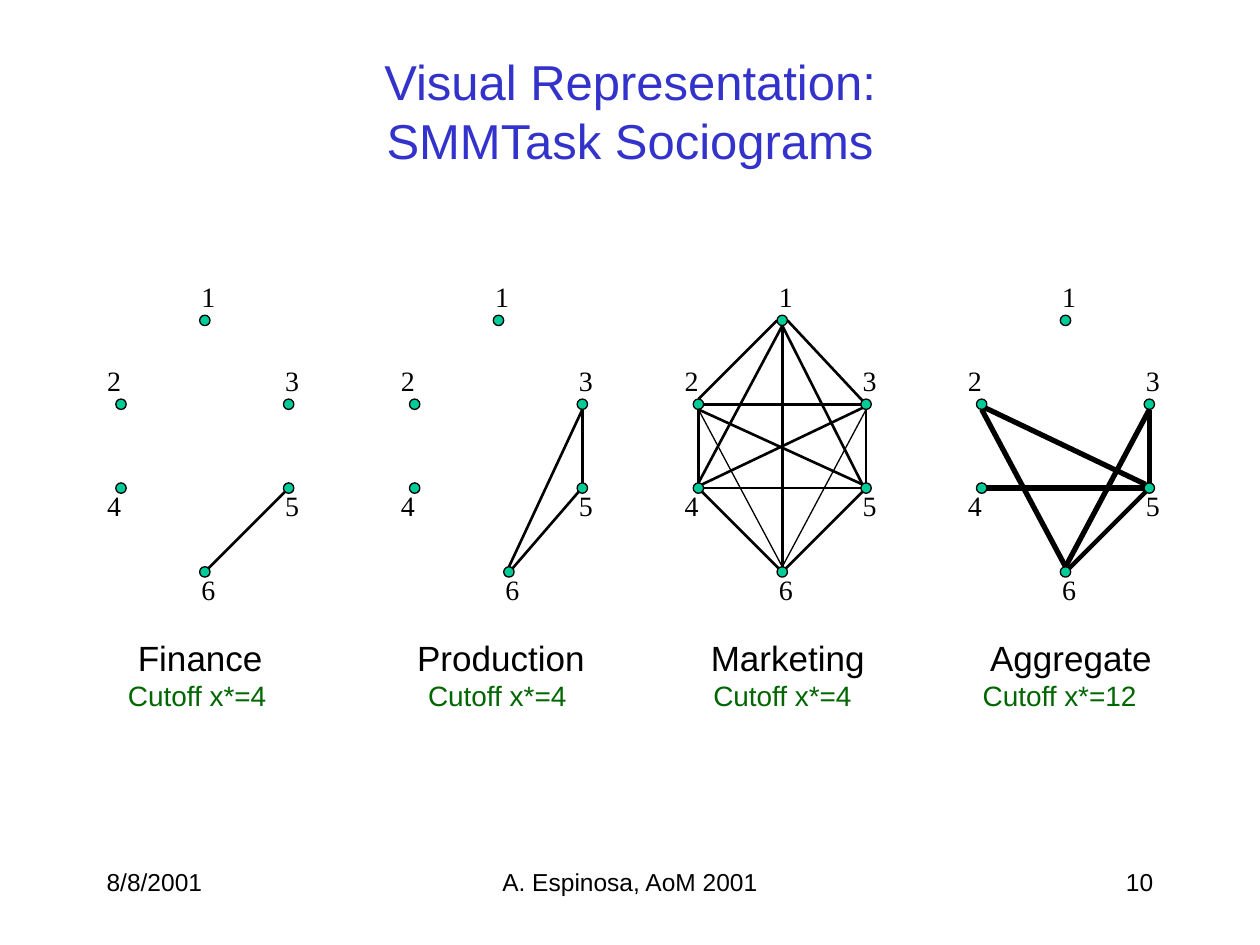
from lxml import etree
from pptx import Presentation
from pptx.dml.color import RGBColor
from pptx.enum.shapes import MSO_CONNECTOR, MSO_SHAPE
from pptx.enum.text import MSO_ANCHOR, MSO_AUTO_SIZE, PP_ALIGN
from pptx.oxml.ns import qn
from pptx.util import Cm, Pt

CIRCLE = MSO_SHAPE.FLOWCHART_CONNECTOR
STRAIGHT = MSO_CONNECTOR.STRAIGHT
LEFT, CENTER, RIGHT = PP_ALIGN.LEFT, PP_ALIGN.CENTER, PP_ALIGN.RIGHT
TOP, MIDDLE = MSO_ANCHOR.TOP, MSO_ANCHOR.MIDDLE
GROW, FIXED = MSO_AUTO_SIZE.SHAPE_TO_FIT_TEXT, MSO_AUTO_SIZE.NONE

STEP = 1.69          # grid distance between neighbouring nodes, in cm
FIRST_ROW = 6.46     # centre of node 1, in cm
NODE_SIZE = 0.21
NODE_GRID = {1: (0, 0), 2: (-1, 1), 3: (1, 1), 4: (-1, 2), 5: (1, 2), 6: (0, 3)}

DIAGONAL = 0.71
RIM = {
    "N": (0, -1), "S": (0, 1), "W": (-1, 0), "E": (1, 0),
    "NW": (-DIAGONAL, -DIAGONAL), "NE": (DIAGONAL, -DIAGONAL),
    "SW": (-DIAGONAL, DIAGONAL), "SE": (DIAGONAL, DIAGONAL),
}

# Centre x, horizontal shift of node 6, and ties grouped by line width.
# A tie names a node and its rim point at each end.
SOCIOGRAMS = {
    "Finance": (4.13, 0, {1.5: ["6NE 5SW"]}),
    "Production": (10.05, 0.21, {1.5: ["3S 5N", "6NE 5SW", "6N 3S"]}),
    "Marketing": (15.77, 0, {
        1.5: ["1S 4N", "1W 2N", "1E 3NW", "1S 5NW", "1S 6N", "2E 3W", "4E 5W",
              "2S 4N", "3S 5N", "6NW 4SE", "6NE 5SW", "2S 5NW", "3SW 4NE"],
        0.75: ["6N 2S", "6N 3S"],
    }),
    "Aggregate": (21.48, 0, {
        3: ["4E 5W", "3S 5N", "6N 2S", "6N 3S", "2SE 5NW"],
        2.5: ["6NE 5SW"],
    }),
}
NAME_TABS = (0.2, 5.83, 11.75, 17.38)
CUTOFF_TABS = (6.05, 11.8, 17.23)


def color(hex_code):
    return RGBColor.from_string(hex_code)


class SlideBuilder:
    """Holds the style and the slide that is being drawn."""

    sans = "Arial"
    serif = "Times New Roman"
    ink = "000000"
    node_fill = "00CC99"
    title_color = "3333CC"
    cutoff_color = "006600"

    def __init__(self, slide):
        self.slide = slide

    def style(self, paragraph, size, font, hex_code):
        paragraph.font.size = Pt(size)
        paragraph.font.name = font
        paragraph.font.color.rgb = color(hex_code)

    def frame(self, left, top, width, height, auto_size=FIXED):
        box = self.slide.shapes.add_textbox(Cm(left), Cm(top), Cm(width), Cm(height))
        box.text_frame.word_wrap = True
        box.text_frame.auto_size = auto_size
        return box.text_frame

    def text(self, text, left, top, width, height, size, font=sans,
             hex_code=ink, align=LEFT, anchor=TOP, auto_size=FIXED):
        frame = self.frame(left, top, width, height, auto_size)
        frame.vertical_anchor = anchor
        paragraph = frame.paragraphs[0]
        paragraph.text = text
        paragraph.alignment = align
        self.style(paragraph, size, font, hex_code)

    def tabbed_line(self, paragraph, text, tabs, size, hex_code):
        """Fill a paragraph whose columns start at tab stops given in cm."""
        paragraph.text = text
        tab_list = etree.SubElement(paragraph._p.get_or_add_pPr(), qn("a:tabLst"))
        for position in tabs:
            etree.SubElement(tab_list, qn("a:tab"), pos=str(Cm(position)), algn="l")
        self.style(paragraph, size, self.sans, hex_code)

    def captions(self, names, cutoffs):
        frame = self.frame(2.33, 12.7, 21.6, 1.78, GROW)
        self.tabbed_line(frame.paragraphs[0], "\t" + "\t".join(names),
                         NAME_TABS, 20, self.ink)
        self.tabbed_line(frame.add_paragraph(), "\t".join(cutoffs),
                         CUTOFF_TABS, 16, self.cutoff_color)

    def node(self, x, y):
        shape = self.slide.shapes.add_shape(
            CIRCLE, Cm(x - NODE_SIZE / 2), Cm(y - NODE_SIZE / 2),
            Cm(NODE_SIZE), Cm(NODE_SIZE))
        shape.shadow.inherit = False
        shape.fill.solid()
        shape.fill.fore_color.rgb = color(self.node_fill)
        shape.line.color.rgb = color(self.ink)
        shape.line.width = Pt(0.75)

    def node_label(self, number, x, y):
        """Put the number above the node in the upper rows, else below it."""
        column, row = NODE_GRID[number]
        left = x - (0.53 if column < 0 else 0.32)
        top = y - (0.95 if row < 2 else 0.11)
        width = 0.84 if column else 0.64
        self.text(str(number), left, top, width, 0.94, 16, self.serif, auto_size=GROW)

    def tie(self, start, end, width):
        line = self.slide.shapes.add_connector(
            STRAIGHT, *(Cm(value) for value in start + end))
        line.line.color.rgb = color(self.ink)
        line.line.width = Pt(width)
        etree.SubElement(line._element.spPr, qn("a:effectLst"))

    def sociogram(self, center, last_shift, ties):
        nodes = {number: (center + column * STEP, FIRST_ROW + row * STEP)
                 for number, (column, row) in NODE_GRID.items()}
        nodes[6] = (nodes[6][0] + last_shift, nodes[6][1])

        def rim_point(end):
            x, y = nodes[int(end[0])]
            dx, dy = RIM[end[1:]]
            return x + dx * NODE_SIZE / 2, y + dy * NODE_SIZE / 2

        for number, position in nodes.items():
            self.node(*position)
            self.node_label(number, *position)
        for width, pairs in ties.items():
            for pair in pairs:
                start, end = pair.split()
                self.tie(rim_point(start), rim_point(end), width)


def main():
    presentation = Presentation()
    presentation.slide_width, presentation.slide_height = Cm(25.4), Cm(19.05)
    builder = SlideBuilder(presentation.slides.add_slide(presentation.slide_layouts[6]))

    builder.text("Visual Representation:\vSMMTask Sociograms", 1.9, 0.64, 21.6, 3.18,
                 28, hex_code=builder.title_color, align=CENTER, anchor=MIDDLE)
    for center, last_shift, ties in SOCIOGRAMS.values():
        builder.sociogram(center, last_shift, ties)
    builder.captions(SOCIOGRAMS, [f"Cutoff x*={cutoff}" for cutoff in (4, 4, 4, 12)])

    for text, left, width, align in (
        ("8/8/2001", 1.9, 5.29, LEFT),
        ("A. Espinosa, AoM 2001", 8.68, 8.04, CENTER),
        ("10", 18.21, 5.29, RIGHT),
    ):
        builder.text(text, left, 17.36, width, 1.27, 14, align=align)

    presentation.save("out.pptx")


if __name__ == "__main__":
    main()
